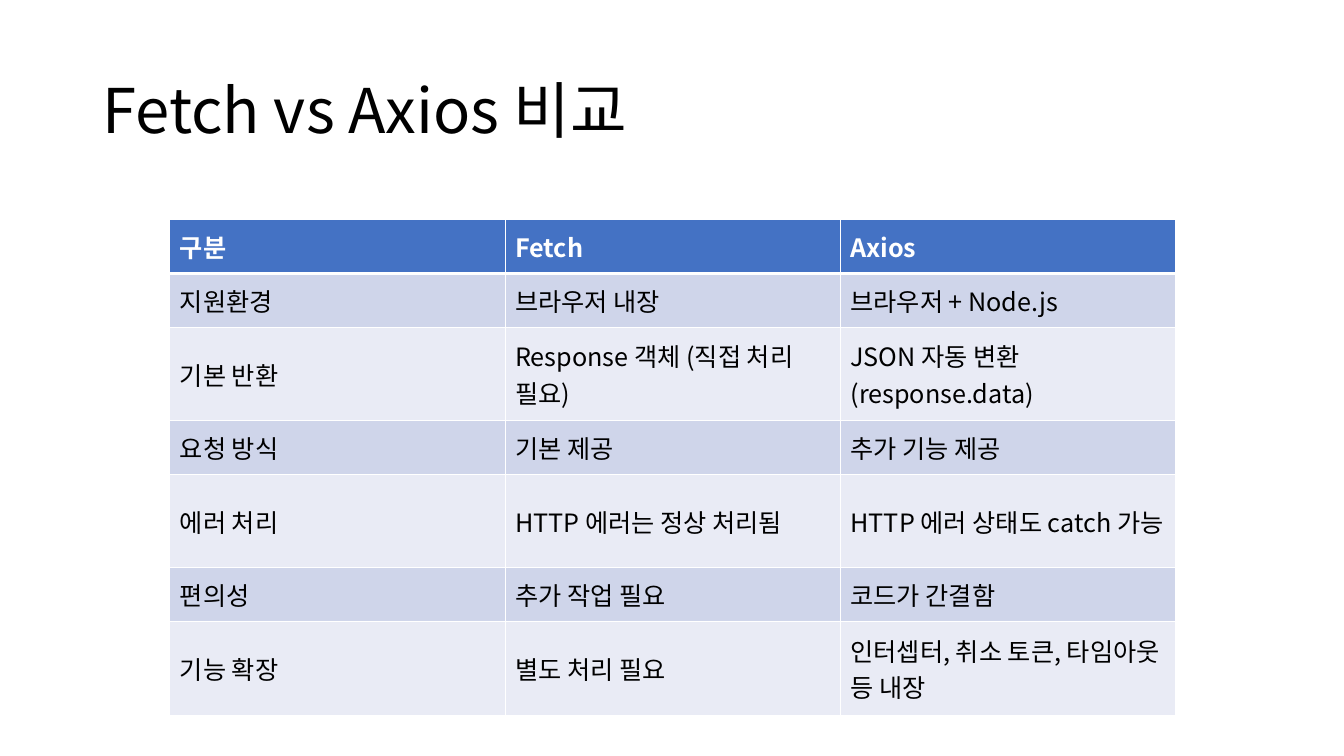
import pptx
import pptx.util
import pptx.dml.color
import pptx.enum.text
import pptx.oxml
import pptx.oxml.ns
from pptx.util import Cm

ROWS = [
    ("구분", "Fetch", "Axios"),
    ("지원환경", "브라우저 내장", "브라우저 + Node.js"),
    ("기본 반환", "Response 객체 (직접 처리 필요)", "JSON 자동 변환 (response.data)"),
    ("요청 방식", "기본 제공", "추가 기능 제공"),
    ("에러 처리", "HTTP 에러는 정상 처리됨", "HTTP 에러 상태도 catch 가능"),
    ("편의성", "추가 작업 필요", "코드가 간결함"),
    ("기능 확장", "별도 처리 필요", "인터셉터, 취소 토큰, 타임아웃 등 내장"),
]
LOW, HIGH = 1.36, 2.35  # one-line and two-line rows, cm
TALL = (2, 4, 6)


def color(code):
    return pptx.dml.color.RGBColor.from_string(code)


class Deck:
    face = "Noto Sans CJK KR"
    head = "4472C4"
    bands = ("E9EBF5", "CFD5EA")
    edge = "FFFFFF"

    def __init__(self):
        self.file = pptx.Presentation()
        self.file.slide_width = Cm(33.87)
        self.file.slide_height = Cm(19.05)
        self.slide = self.file.slides.add_slide(self.file.slide_layouts[5])

    def style(self, para, size, tint, bold=False):
        para.alignment = pptx.enum.text.PP_ALIGN.LEFT
        font = para.font
        font.name, font.size, font.bold = self.face, pptx.util.Pt(size), bold
        font.color.rgb = color(tint)
        # East Asian typeface for the Korean text
        base = para._p.pPr.find(pptx.oxml.ns.qn("a:defRPr"))
        base.append(pptx.oxml.parse_xml(
            f'<a:ea {pptx.oxml.ns.nsdecls("a")} typeface="{self.face}"/>'))

    def title(self, text, left, top, width, height):
        box = self.slide.shapes.title
        box.left, box.top = Cm(left), Cm(top)
        box.width, box.height = Cm(width), Cm(height)
        frame = box.text_frame
        frame.text = text
        frame.word_wrap = True
        frame.auto_size = pptx.enum.text.MSO_AUTO_SIZE.NONE
        frame.vertical_anchor = pptx.enum.text.MSO_ANCHOR.MIDDLE
        para = frame.paragraphs[0]
        para.line_spacing = 0.9
        self.style(para, 44, "000000")

    def border(self, cell, widths):
        props = cell._tc.get_or_add_tcPr()
        for spot, (side, width) in enumerate(widths.items()):
            props.insert(spot, pptx.oxml.parse_xml(
                f'<a:ln{side} {pptx.oxml.ns.nsdecls("a")} w="{pptx.util.Pt(width)}">'
                f'<a:solidFill><a:srgbClr val="{self.edge}"/></a:solidFill>'
                f'</a:ln{side}>'))

    def cell(self, cell, text, row):
        top = row == 0
        cell.text = text
        cell.vertical_anchor = pptx.enum.text.MSO_ANCHOR.MIDDLE
        self.style(cell.text_frame.paragraphs[0], 18,
                   "FFFFFF" if top else "000000", top)
        self.border(cell, {"L": 1, "R": 1, "T": 3 if row == 1 else 1,
                           "B": 3 if top else 1})
        cell.fill.solid()
        cell.fill.fore_color.rgb = color(self.head if top else self.bands[row % 2])

    def table(self, rows, left, top, width, highs):
        grid = self.slide.shapes.add_table(
            len(rows), len(rows[0]), Cm(left), Cm(top),
            Cm(width), Cm(sum(highs))).table
        for col in grid.columns:
            col.width = Cm(width / len(rows[0]))
        for r, (row, high) in enumerate(zip(rows, highs)):
            grid.rows[r].height = Cm(high)
            for c, text in enumerate(row):
                self.cell(grid.cell(r, c), text, r)


def main():
    deck = Deck()

    # Title
    deck.title("Fetch vs Axios 비교", 2.33, 1.01, 29.21, 3.68)

    # Comparison table
    highs = [HIGH if r in TALL else LOW for r in range(len(ROWS))]
    deck.table(ROWS, 4.28, 5.53, 25.35, highs)

    deck.file.save("out.pptx")


if __name__ == "__main__":
    main()
